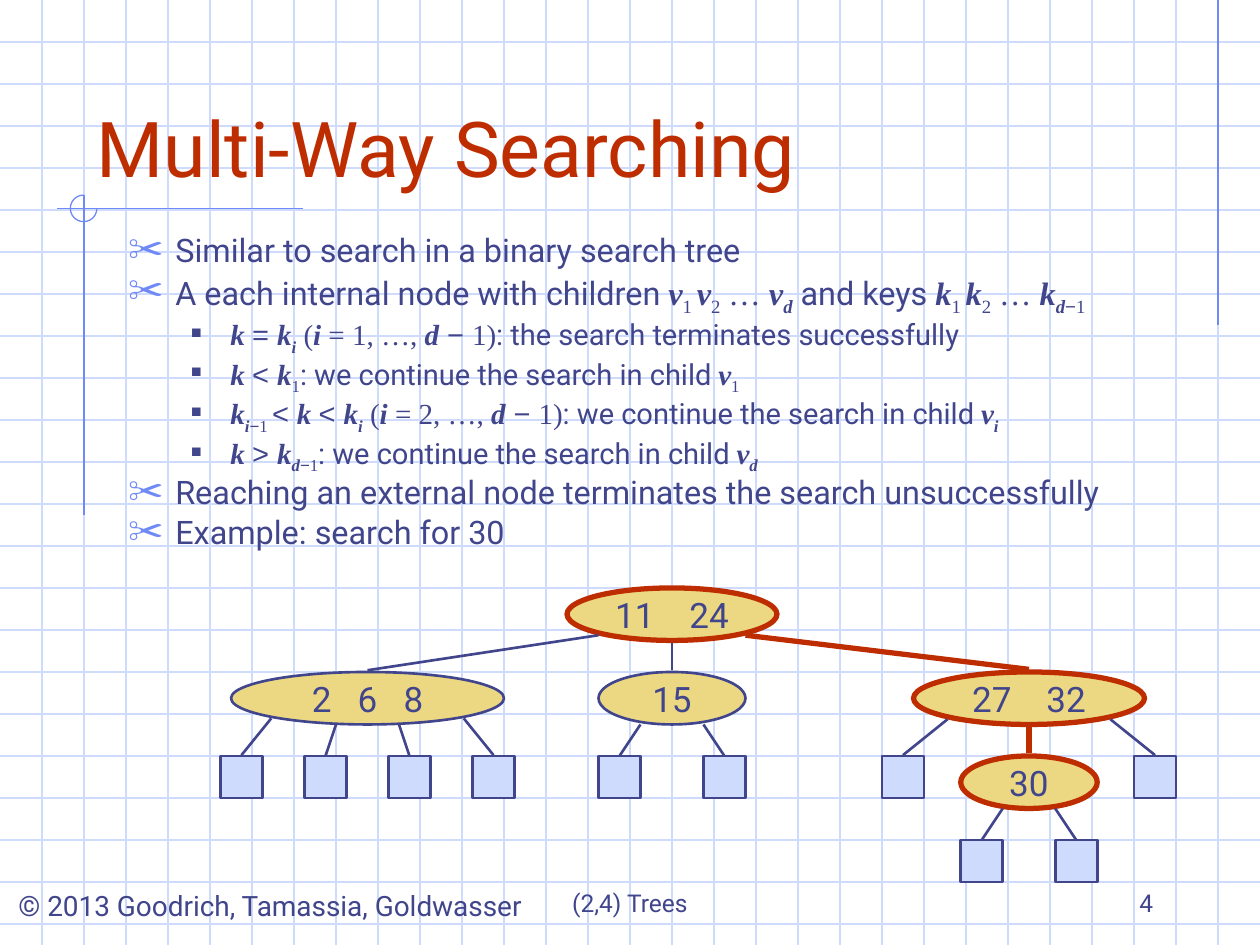
import lxml.etree
import pptx
import pptx.dml.color
import pptx.enum.shapes
import pptx.enum.text
import pptx.oxml.ns
import pptx.util

Pt = pptx.util.Pt
RGB = pptx.dml.color.RGBColor
SHAPE = pptx.enum.shapes.MSO_SHAPE
ALIGN = pptx.enum.text.PP_ALIGN
ANCHOR = pptx.enum.text.MSO_ANCHOR
qn = pptx.oxml.ns.qn

NAVY = RGB(0x40, 0x45, 0x8C)
RED = RGB(0xBE, 0x2D, 0x00)
GOLD = RGB(0xEC, 0xD8, 0x82)
PALE = RGB(0xCF, 0xDB, 0xFD)
BLUE = RGB(0x6F, 0x89, 0xF7)

WIDTH, HEIGHT, GRID = 720, 540, 24

deck = pptx.Presentation()
deck.slide_width, deck.slide_height = Pt(WIDTH), Pt(HEIGHT)
page = deck.slides.add_slide(deck.slide_layouts[1])
shapes = page.shapes


def draw_line(x1, y1, x2, y2, color, weight):
    line = shapes.add_connector(pptx.enum.shapes.MSO_CONNECTOR.STRAIGHT,
                                Pt(x1), Pt(y1), Pt(x2), Pt(y2))
    line.line.color.rgb = color
    line.line.width = Pt(weight)
    lxml.etree.SubElement(line._element.spPr, qn("a:effectLst"))


def add_span(para, text, size, color=NAVY, face="Roboto"):
    span = para.add_run()
    span.text = text
    span.font.name = face
    span.font.size = Pt(size)
    span.font.color.rgb = color
    return span


# Graph paper and corner frame
for y in range(GRID, HEIGHT, GRID):
    draw_line(0, y, WIDTH, y, PALE, 0.75)
for x in range(GRID, WIDTH, GRID):
    draw_line(x, 0, x, HEIGHT, PALE, 0.75)
for ends in [(696, 0, 696, 186), (173, 119.3, 32.5, 119.3), (48, 111.5, 48, 294.5)]:
    draw_line(*ends, BLUE, 0.75)
ring = shapes.add_shape(SHAPE.ARC, Pt(40.2), Pt(111.5), Pt(15.2), Pt(15.2))
ring.adjustments[0], ring.adjustments[1] = 0, 162  # right side clockwise to the top
ring.shadow.inherit = False
ring.fill.background()
ring.line.color.rgb = BLUE
ring.line.width = Pt(0.75)

# Footer
footers = [
    ("© 2013 Goodrich, Tamassia, Goldwasser", 16, (-3.6, 504, 316, 26.6), ALIGN.CENTER, ANCHOR.TOP, False),
    ("(2,4) Trees", 14, (246, 492, 228, 36), ALIGN.CENTER, ANCHOR.BOTTOM, True),
    ("4", 14, (516, 492, 150, 36), ALIGN.RIGHT, ANCHOR.BOTTOM, True),
]
for text, size, place, align, anchor, wrap in footers:
    box = shapes.add_textbox(*map(Pt, place))
    box.text_frame.word_wrap = wrap
    box.text_frame.vertical_anchor = anchor
    para = box.text_frame.paragraphs[0]
    para.alignment = align
    add_span(para, text, size)

# Title and list
title, body = shapes.title, page.placeholders[1]
for holder, place, anchor in [(title, (48, 24, 612, 90), ANCHOR.BOTTOM),
                              (body, (66, 132, 624, 210), ANCHOR.TOP)]:
    holder.left, holder.top, holder.width, holder.height = map(Pt, place)
    holder.text_frame.auto_size = pptx.enum.text.MSO_AUTO_SIZE.NONE
    holder.text_frame.vertical_anchor = anchor
    shapes._spTree.append(holder._element)  # in front of the graph paper
para = title.text_frame.paragraphs[0]
para.alignment = ALIGN.LEFT
add_span(para, "Multi-Way Searching", 44, RED)

# Span styles: font, bold italic, subscript
STYLES = {
    "plain": ("Roboto", False, False),
    "sign": ("Arial", False, False),
    "math": ("Times New Roman", False, False),
    "var": ("Times New Roman", True, False),
    "sub": ("Times New Roman", False, True),
    "subvar": ("Times New Roman", True, True),
    "subsign": ("Arial", False, True),
}
# Bullet levels: text size, space before, left, hanging, bullet, colour, percent
LEVELS = [(18.5, 5, 27, 27, "✂", BLUE, 110),
          (16.6, 4.5, 58.5, 22.5, "■", NAVY, 60)]

LAST_KEY = [("k", "var"), ("d", "subvar"), ("−", "subsign"), ("1", "sub")]
KEY_I = [("k", "var"), ("i", "subvar")]
TO_D_MINUS_1 = [("d", "var"), (" − ", "sign"), ("1)", "math")]
CONTINUE = (": we continue the search in child ", "plain")
items = [
    (0, [("Similar to search in a binary search tree", "plain")]),
    (0, [("A each internal node with children ", "plain"),
         ("v", "var"), ("1 ", "sub"), ("v", "var"), ("2", "sub"), (" … ", "math"),
         ("v", "var"), ("d", "subvar"), (" and keys ", "plain"),
         ("k", "var"), ("1 ", "sub"), ("k", "var"), ("2", "sub"), (" … ", "math"), *LAST_KEY]),
    (1, [("k ", "var"), ("= ", "sign"), *KEY_I, (" (", "math"), ("i", "var"),
         (" = 1, …, ", "math"), *TO_D_MINUS_1,
         (": the search terminates successfully", "plain")]),
    (1, [("k ", "var"), ("< ", "sign"), ("k", "var"), ("1", "sub"),
         CONTINUE, ("v", "var"), ("1", "sub")]),
    (1, [*KEY_I, ("−", "subsign"), ("1 ", "sub"), ("< ", "sign"), ("k ", "var"),
         ("< ", "sign"), *KEY_I, (" (", "math"), ("i", "var"), (" = 2, …, ", "math"),
         *TO_D_MINUS_1, CONTINUE, ("v", "var"), ("i", "subvar")]),
    (1, [("k ", "var"), ("> ", "sign"), *LAST_KEY, CONTINUE, ("v", "var"), ("d", "subvar")]),
    (0, [("Reaching an external node terminates the search unsuccessfully", "plain")]),
    (0, [("Example: search for 30", "plain")]),
]
frame = body.text_frame
for index, (level, spans) in enumerate(items):
    size, before, left, hanging, bullet, color, percent = LEVELS[level]
    para = frame.add_paragraph() if index else frame.paragraphs[0]
    para.level = level
    para.line_spacing = 0.8
    para.space_before = Pt(before)
    para.space_after = Pt(0)
    props = para._p.get_or_add_pPr()
    props.set("marL", str(Pt(left)))
    props.set("indent", str(-Pt(hanging)))
    bullet_color = lxml.etree.SubElement(props, qn("a:buClr"))
    lxml.etree.SubElement(bullet_color, qn("a:srgbClr"), val=str(color))
    lxml.etree.SubElement(props, qn("a:buSzPct"), val=str(percent * 1000))
    lxml.etree.SubElement(props, qn("a:buChar"), char=bullet)
    for text, style in spans:
        face, slanted, lowered = STYLES[style]
        span = add_span(para, text, size, face=face)
        span.font.bold = span.font.italic = slanted
        if lowered:
            span._r.get_or_add_rPr().set("baseline", "-25000")

# Tree nodes: keys, left, top, width, extra gap between keys, on the search path
nodes = [
    (["11", "24"], 324, 336, 120, 15, True),
    (["2", "6", "8"], 132, 384, 156, 10, False),
    (["15"], 342, 384, 84, 0, False),
    (["30"], 549, 432, 78, 0, True),
    (["27", "32"], 522, 384, 132, 15, True),
]
for keys, left, top, width, gap, visited in nodes:
    node = shapes.add_shape(SHAPE.OVAL, Pt(left), Pt(top), Pt(width), Pt(30))
    node.shadow.inherit = False
    node.fill.solid()
    node.fill.fore_color.rgb = GOLD
    node.line.color.rgb = RED if visited else NAVY
    node.line.width = Pt(3 if visited else 1.5)
    node.text_frame.word_wrap = False
    node.text_frame.vertical_anchor = ANCHOR.MIDDLE
    para = node.text_frame.paragraphs[0]
    para.alignment = ALIGN.CENTER
    for index, key in enumerate(keys):
        if index:
            space = add_span(para, " ", 20)
            space._r.get_or_add_rPr().set("spc", str(gap * 100))
        add_span(para, key, 20)

# External nodes, by row
for top, lefts in [(432, (126, 174, 222, 270, 342, 402, 504, 648)), (480, (549, 603))]:
    for left in lefts:
        leaf = shapes.add_shape(SHAPE.RECTANGLE, Pt(left), Pt(top), Pt(24), Pt(24))
        leaf.shadow.inherit = False
        leaf.fill.solid()
        leaf.fill.fore_color.rgb = PALE
        leaf.line.color.rgb = NAVY
        leaf.line.width = Pt(1.5)

# Tree edges, parent to child
edges = [
    (342, 363, 210, 383), (384, 367.5, 384, 383),
    (155, 410.5, 138, 431.5), (192, 414, 186, 432),
    (228, 414, 234, 432), (265, 410.5, 282, 431.5),
    (366, 414, 354, 432), (402, 414, 414, 432),
    (541.5, 411, 516, 431.5), (634.5, 411, 660, 431.5),
    (573, 462, 561, 480), (603, 462, 615, 480),
]
for ends in edges:
    draw_line(*ends, NAVY, 1.5)
for ends in [(426, 363, 588, 382.5), (588, 415.5, 588, 430.5)]:
    draw_line(*ends, RED, 3)

deck.save("out.pptx")
